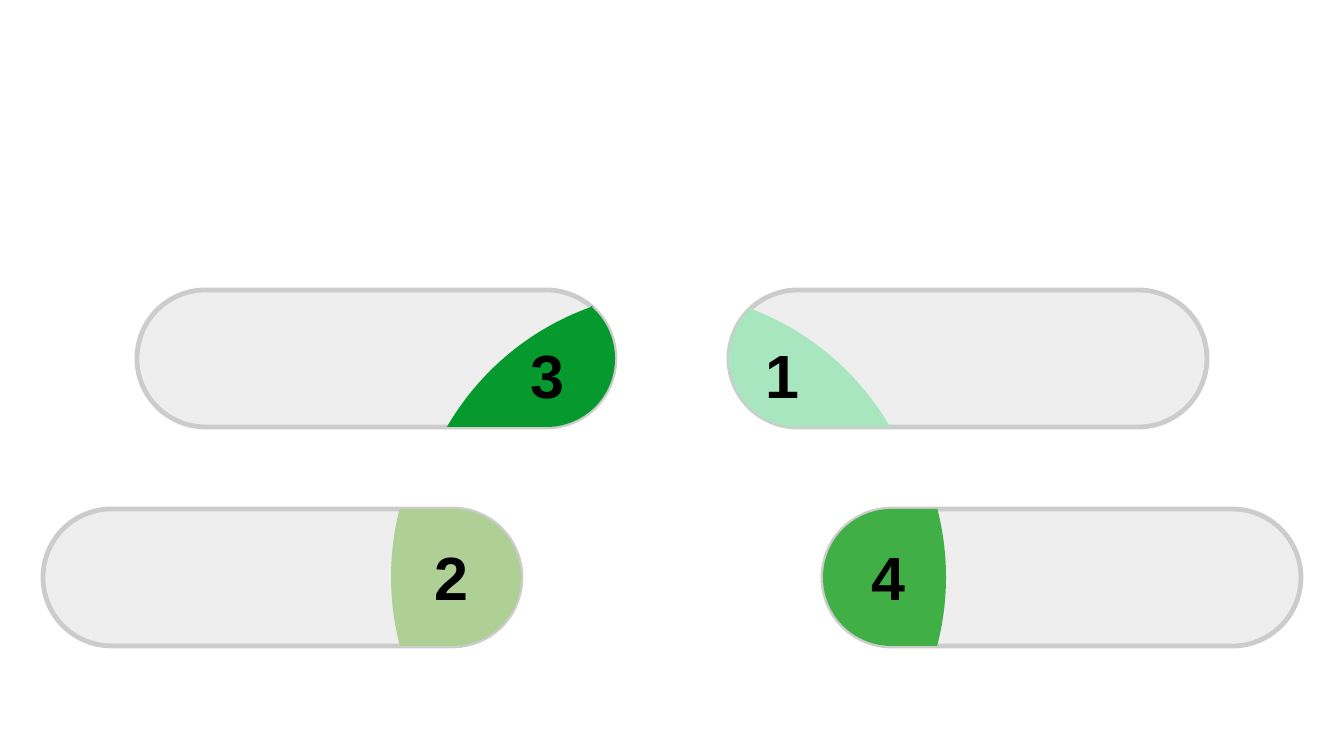
"""Builds a slide with four numbered pills whose inner ends are cut by a large circle."""
from math import asin, cos, degrees, radians, sin, tan

from lxml import etree
from pptx import Presentation
from pptx.dml.color import RGBColor
from pptx.enum.shapes import MSO_SHAPE
from pptx.enum.text import MSO_ANCHOR, PP_ALIGN
from pptx.oxml.ns import qn
from pptx.util import Pt

PILL = MSO_SHAPE.ROUNDED_RECTANGLE
MIDDLE = MSO_ANCHOR.MIDDLE
CENTER = PP_ALIGN.CENTER

THEME = {
    "font": "Arial",
    "number_size": Pt(36),
    "number": RGBColor.from_string("000000"),
    "pill": RGBColor.from_string("EEEEEE"),
    "outline": RGBColor.from_string("CCCCCC"),
    "outline_width": Pt(2.83),
}
PX_PER_INCH = 122
PILL_WIDTH, PILL_HEIGHT = 478, 137
CAP_RADIUS = PILL_HEIGHT / 2
CIRCLE_RADIUS = 273
NUMBER_BOX = 96
LEFT_SIDE, RIGHT_SIDE = 1, -1

PILLS = [
    ("3", LEFT_SIDE, (137, 290), -50, (683, 564), (499, 326), "069A2E"),
    ("2", LEFT_SIDE, (43, 509), -90, (664, 577), (403, 528), "AFD095"),
    ("1", RIGHT_SIDE, (729, 290), -47, (654, 564), (734, 326), "A8E6C0"),
    ("4", RIGHT_SIDE, (823, 509), -90, (673, 577), (840, 528), "3FAF46"),
]


def px(length):
    """Turns pixels into EMU."""
    return round(length * 914400 / PX_PER_INCH)


def arc_curves(center_x, center_y, radius, side, angles):
    """Gives start, two control points and end for each step of an arc, in EMU."""
    curves = []
    for start, end in zip(map(radians, angles), map(radians, angles[1:])):
        reach = 4 / 3 * tan((end - start) / 4)
        offsets = [
            (cos(start), sin(start)),
            (cos(start) - reach * sin(start), sin(start) + reach * cos(start)),
            (cos(end) + reach * sin(end), sin(end) - reach * cos(end)),
            (cos(end), sin(end)),
        ]
        curves.append([(px(center_x + side * radius * x), px(center_y + radius * y)) for x, y in offsets])
    return curves


presentation = Presentation()
presentation.slide_width, presentation.slide_height = px(1344), px(756)
slide = presentation.slides.add_slide(presentation.slide_layouts[6])

for number, side, (left, top), cap_start, (circle_x, circle_y), number_corner, color in PILLS:
    pill = slide.shapes.add_shape(PILL, px(left), px(top), px(PILL_WIDTH), px(PILL_HEIGHT))
    pill.adjustments[0] = 0.5
    pill.rotation = 0 if side == LEFT_SIDE else 180
    pill.shadow.inherit = False
    pill.fill.solid()
    pill.fill.fore_color.rgb = THEME["pill"]
    pill.line.color.rgb = THEME["outline"]
    pill.line.width = THEME["outline_width"]

    cap_x = left + PILL_WIDTH - CAP_RADIUS if side == LEFT_SIDE else left + CAP_RADIUS
    cap_y = top + CAP_RADIUS
    cap = arc_curves(cap_x, cap_y, CAP_RADIUS, side, [cap_start, cap_start / 2, 0, 45, 90])
    slice_top = cap_y + CAP_RADIUS * sin(radians(cap_start))
    first, last = [degrees(asin((y - circle_y) / CIRCLE_RADIUS)) for y in (top + PILL_HEIGHT, slice_top)]
    cut = arc_curves(circle_x, circle_y, CIRCLE_RADIUS, -side, [first, (first + last) / 2, last])
    segments = [curve[1:] for curve in cap] + [[cut[0][0]]] + [curve[1:] for curve in cut]

    builder = slide.shapes.build_freeform(*cap[0][0])
    builder.add_line_segments([segment[-1] for segment in segments], close=True)
    pill_slice = builder.convert_to_shape()
    pill_slice.shadow.inherit = False
    pill_slice.fill.solid()
    pill_slice.fill.fore_color.rgb = RGBColor.from_string(color)
    pill_slice.line.fill.background()
    for line, segment in zip(pill_slice.element.findall(".//" + qn("a:lnTo")), segments):
        if len(segment) == 3:
            line.tag = qn("a:cubicBezTo")
            line.remove(line[0])
            for x, y in segment:
                etree.SubElement(line, qn("a:pt"), x=str(x - pill_slice.left), y=str(y - pill_slice.top))

    number_box = slide.shapes.add_textbox(*map(px, number_corner), px(NUMBER_BOX), px(NUMBER_BOX))
    number_box.text_frame.word_wrap = True
    number_box.text_frame.vertical_anchor = MIDDLE
    paragraph = number_box.text_frame.paragraphs[0]
    paragraph.text = number
    paragraph.alignment = CENTER
    paragraph.font.name = THEME["font"]
    paragraph.font.size = THEME["number_size"]
    paragraph.font.bold = True
    paragraph.font.color.rgb = THEME["number"]

presentation.save("out.pptx")
